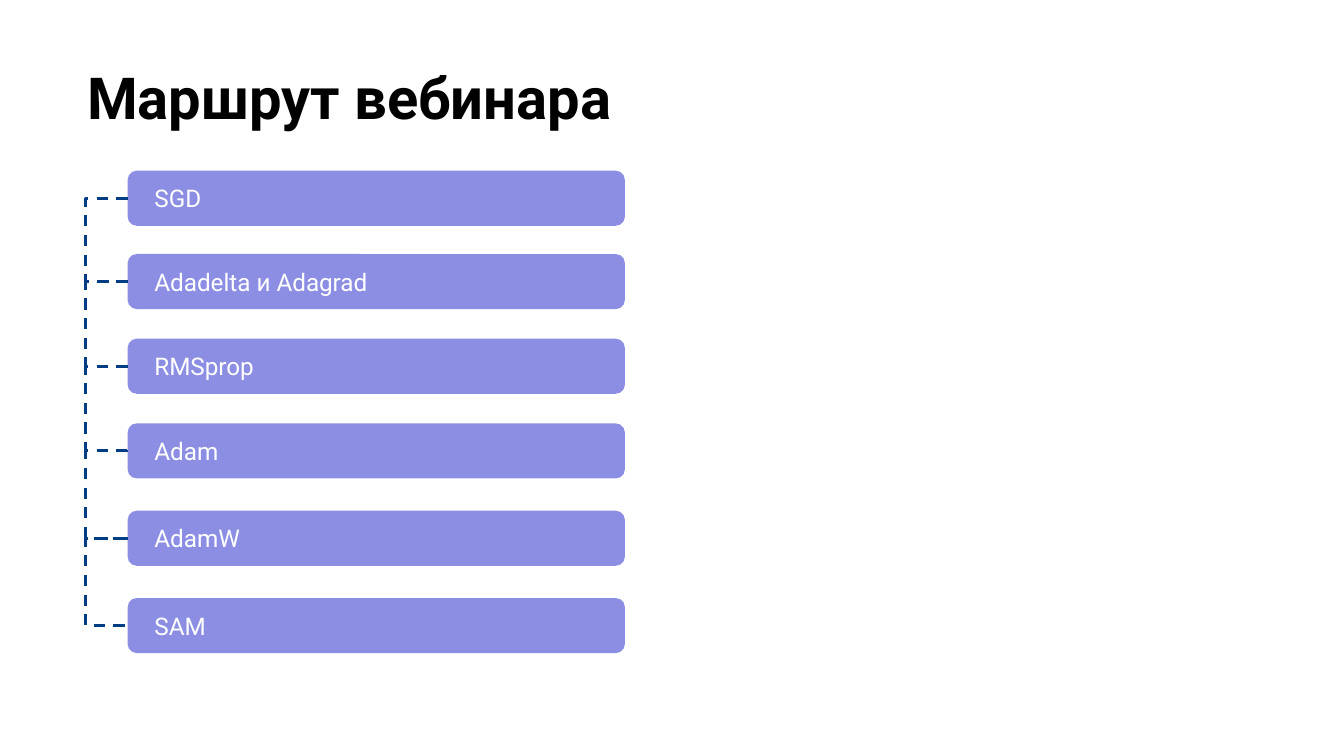
import pptx
import pptx.dml.color
import pptx.enum.dml
import pptx.enum.shapes
import pptx.enum.text
import pptx.oxml
import pptx.oxml.ns
import pptx.util

Inches = pptx.util.Inches
TOPICS = {
    "SGD": 1.27,
    "Adadelta и Adagrad": 1.89,
    "RMSprop": 2.52,
    "Adam": 3.15,
    "AdamW": 3.8,
    "SAM": 4.45,
}
BAR_LEFT, BAR_WIDTH, BAR_HEIGHT = 0.95, 3.7, 0.41
BRACKET_DEPTH = 0.26
LEFT_SITE = 1


def color(value):
    return pptx.dml.color.RGBColor.from_string(value)


def write(shape, text, font_values, font_color, anchor, side_inset):
    frame = shape.text_frame
    frame_values = {
        "text": text,
        "word_wrap": True,
        "auto_size": pptx.enum.text.MSO_AUTO_SIZE.NONE,
        "vertical_anchor": anchor,
        "margin_left": Inches(side_inset),
        "margin_right": Inches(side_inset),
        "margin_top": Inches(0.1),
        "margin_bottom": Inches(0.1),
    }
    for name, value in frame_values.items():
        setattr(frame, name, value)
    paragraph = frame.paragraphs[0]
    paragraph.alignment = pptx.enum.text.PP_ALIGN.LEFT
    font = paragraph.runs[0].font
    for name, value in {"name": "Roboto", **font_values}.items():
        setattr(font, name, value)
    font.color.rgb = color(font_color)


def add_title(slide, text):
    title = slide.shapes.title
    place = {"left": 0.55, "top": 0.36, "width": 9.32, "height": 1.2}
    for name, value in place.items():
        setattr(title, name, Inches(value))
    write(title, text, {"size": pptx.util.Pt(31), "bold": True}, "000000",
          pptx.enum.text.MSO_ANCHOR.TOP, 0.1)


def add_topic(slide, text, top):
    bar = slide.shapes.add_shape(
        pptx.enum.shapes.MSO_SHAPE.ROUNDED_RECTANGLE,
        Inches(BAR_LEFT), Inches(top), Inches(BAR_WIDTH), Inches(BAR_HEIGHT))
    bar.adjustments[0] = 0.167
    bar.shadow.inherit = False
    bar.fill.solid()
    bar.fill.fore_color.rgb = color("8B8EE3")
    bar.line.fill.background()
    write(bar, text, {"size": pptx.util.Pt(13)}, "FFFFFF",
          pptx.enum.text.MSO_ANCHOR.MIDDLE, 0.18)
    return bar


def add_bracket(slide, upper, lower):
    """Join the left sides of two bars with a dashed elbow."""
    bracket = slide.shapes.add_connector(
        pptx.enum.shapes.MSO_CONNECTOR.ELBOW,
        upper.left, upper.top + upper.height // 2,
        lower.left, lower.top + lower.height // 2)
    bracket.begin_connect(upper, LEFT_SITE)
    bracket.end_connect(lower, LEFT_SITE)
    # The bend is a share of the width, so the width must not be zero.
    bracket.width = pptx.util.Emu(600)
    bend = -round(Inches(BRACKET_DEPTH) / bracket.width * 100000)
    properties = bracket._element.spPr
    guides = properties.find(".//" + pptx.oxml.ns.qn("a:avLst"))
    guides.append(pptx.oxml.parse_xml(
        f'<a:gd {pptx.oxml.ns.nsdecls("a")} name="adj1" fmla="val {bend}"/>'))
    bracket.line.color.rgb = color("013D85")
    bracket.line.width = pptx.util.Pt(1.5)
    bracket.line.dash_style = pptx.enum.dml.MSO_LINE.DASH
    properties.append(pptx.oxml.parse_xml(
        f'<a:effectLst {pptx.oxml.ns.nsdecls("a")}/>'))


def main():
    presentation = pptx.Presentation()
    presentation.slide_width = Inches(10)
    presentation.slide_height = presentation.slide_width * 9 // 16
    slide = presentation.slides.add_slide(presentation.slide_layouts[5])
    add_title(slide, "Маршрут вебинара")
    bars = [add_topic(slide, text, top) for text, top in TOPICS.items()]
    for upper, lower in zip(bars, bars[1:]):
        add_bracket(slide, upper, lower)
    presentation.save("out.pptx")


if __name__ == "__main__":
    main()
